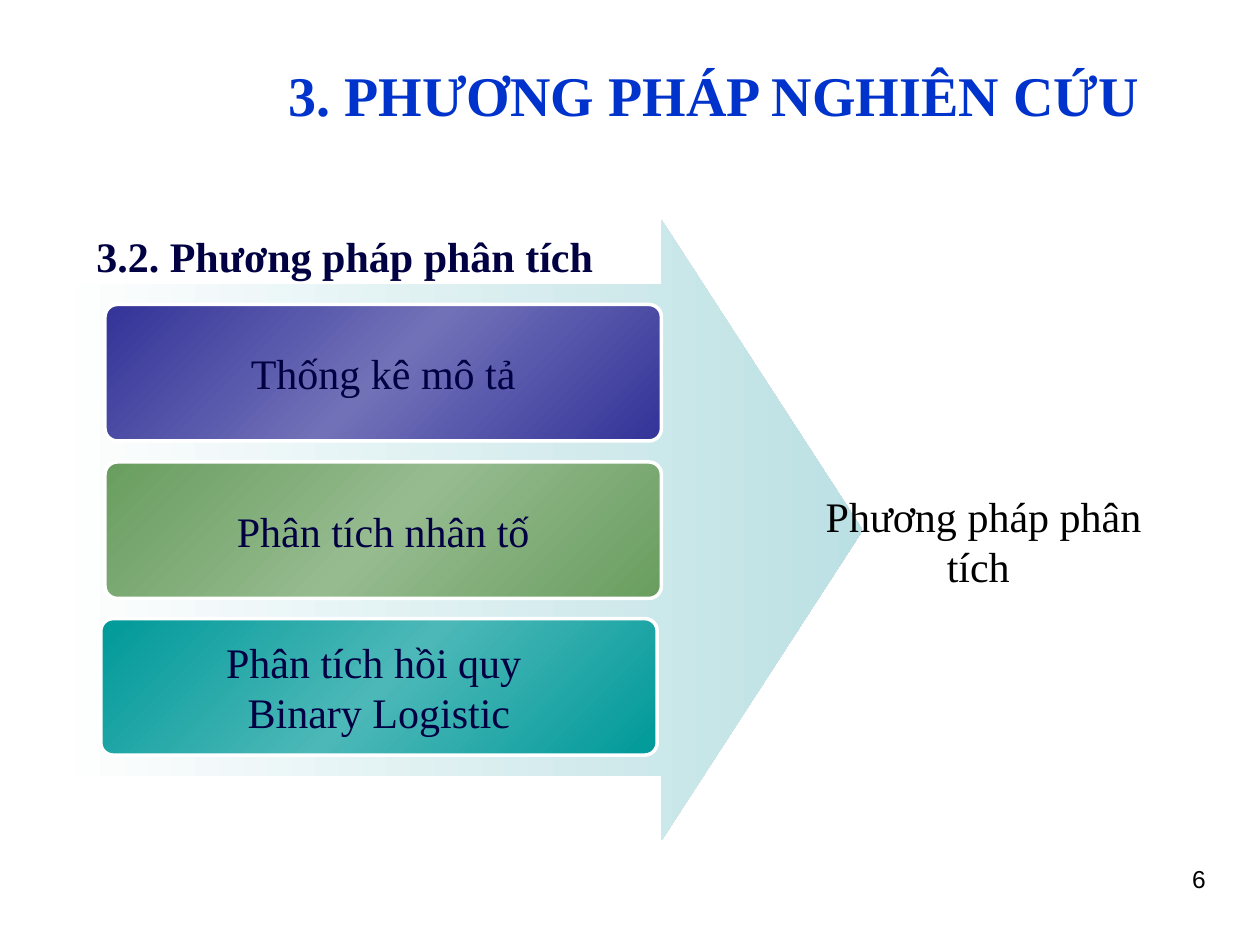
import copy
import pptx
import pptx.util
import pptx.dml.color
import pptx.enum.shapes
import pptx.enum.text

Pt = pptx.util.Pt
SHAPE = pptx.enum.shapes.MSO_SHAPE
ALIGN = pptx.enum.text.PP_ALIGN
ANCHOR = pptx.enum.text.MSO_ANCHOR

COLORS = {
    "white": "FFFFFF", "black": "000000", "navy": "000042", "title": "0033CC",
    "arrow": "BBE0E3", "indigo": "333399", "indigo_light": "7171B8",
    "green": "699D5F", "green_light": "96BB8F",
    "teal": "009999", "teal_light": "4DB8B8",
}
METHODS = [
    (60, 174, "indigo", ["Thống kê mô tả"]),
    (60, 264, "green", ["Phân tích nhân tố"]),
    (57.6, 353.5, "teal", ["Phân tích hồi quy ", "Binary Logistic"]),
]


def rgb(name):
    return pptx.dml.color.RGBColor.from_string(COLORS[name])


def write(sp, lines, color, align=ALIGN.CENTER, anchor=ANCHOR.MIDDLE, wrap=True, **font):
    tf = sp.text_frame
    tf.word_wrap = wrap
    tf.vertical_anchor = anchor
    formats = {"name": "Times New Roman", "size": Pt(24), "bold": False, **font}
    for i, line in enumerate(lines):
        p = tf.add_paragraph() if i else tf.paragraphs[0]
        p.alignment = align
        r = p.add_run()
        r.text = line
        for key, value in formats.items():
            setattr(r.font, key, value)
        r.font.color.rgb = rgb(color)


def add_text(s, box, text, color, **formats):
    sp = s.shapes.add_textbox(*map(Pt, box))
    write(sp, [text], color, **formats)


def add_gradient_shape(s, kind, box, names, angle, adjustments):
    sp = s.shapes.add_shape(kind, *map(Pt, box))
    sp.shadow.inherit = False
    for i, value in enumerate(adjustments):
        sp.adjustments[i] = value
    sp.fill.gradient()
    sp.fill.gradient_angle = angle
    stop_list = sp._element.spPr.find(".//" + pptx.oxml.ns.qn("a:gsLst"))
    while len(stop_list) < len(names):
        stop_list.append(copy.deepcopy(stop_list[0]))
    for i, (stop, name) in enumerate(zip(sp.fill.gradient_stops, names)):
        stop.position = i / (len(names) - 1)
        stop.color.rgb = rgb(name)
    return sp


def add_arrow(s, box):
    sp = add_gradient_shape(s, SHAPE.RIGHT_ARROW, box, ["white", "arrow"], 0, [0.793, 0.324])
    sp.line.fill.background()


def add_method(s, box, color, lines):
    names = [color, color + "_light", color]
    sp = add_gradient_shape(s, SHAPE.ROUNDED_RECTANGLE, box, names, 315, [0.091])
    sp.line.color.rgb = rgb("white")
    sp.line.width = Pt(2)
    write(sp, lines, "navy", wrap=False)


def main():
    prs = pptx.Presentation()
    prs.slide_width, prs.slide_height = Pt(720), Pt(540)
    s = prs.slides.add_slide(prs.slide_layouts[6])
    add_text(s, (48, 128, 624, 372), "3.2. Phương pháp phân tích", "navy",
             align=ALIGN.JUSTIFY, anchor=ANCHOR.TOP, bold=True)
    add_text(s, (96, 16.5, 624, 74), "3. PHƯƠNG PHÁP NGHIÊN CỨU", "title",
             size=Pt(32), bold=True)
    add_arrow(s, (30, 126, 463, 354))
    for left, top, color, lines in METHODS:
        add_method(s, (left, top, 318, 78), color, lines)
    add_text(s, (463, 258, 198, 102), "Phương pháp phân tích ", "black")
    add_text(s, (528, 490, 168, 44), "6", "black",
             align=ALIGN.RIGHT, anchor=ANCHOR.TOP, name="Arial", size=Pt(14))
    prs.save("out.pptx")


if __name__ == "__main__":
    main()
